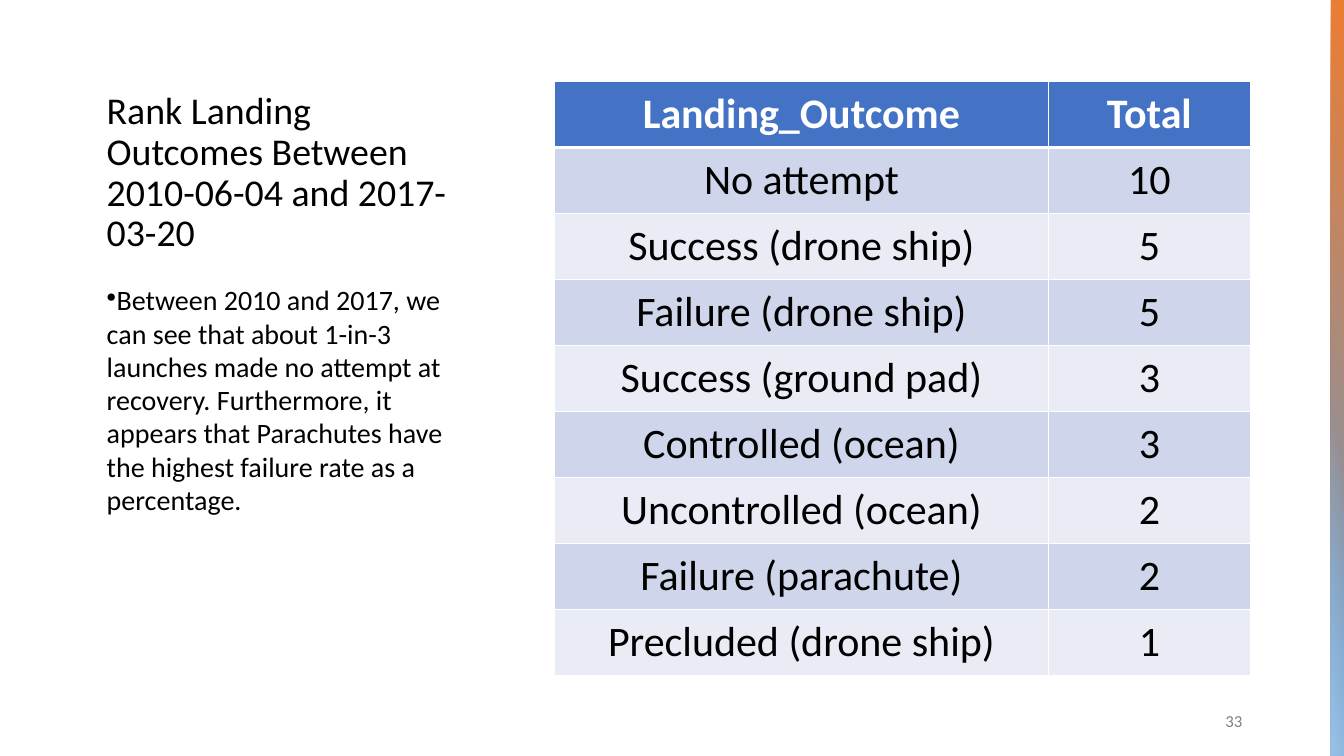
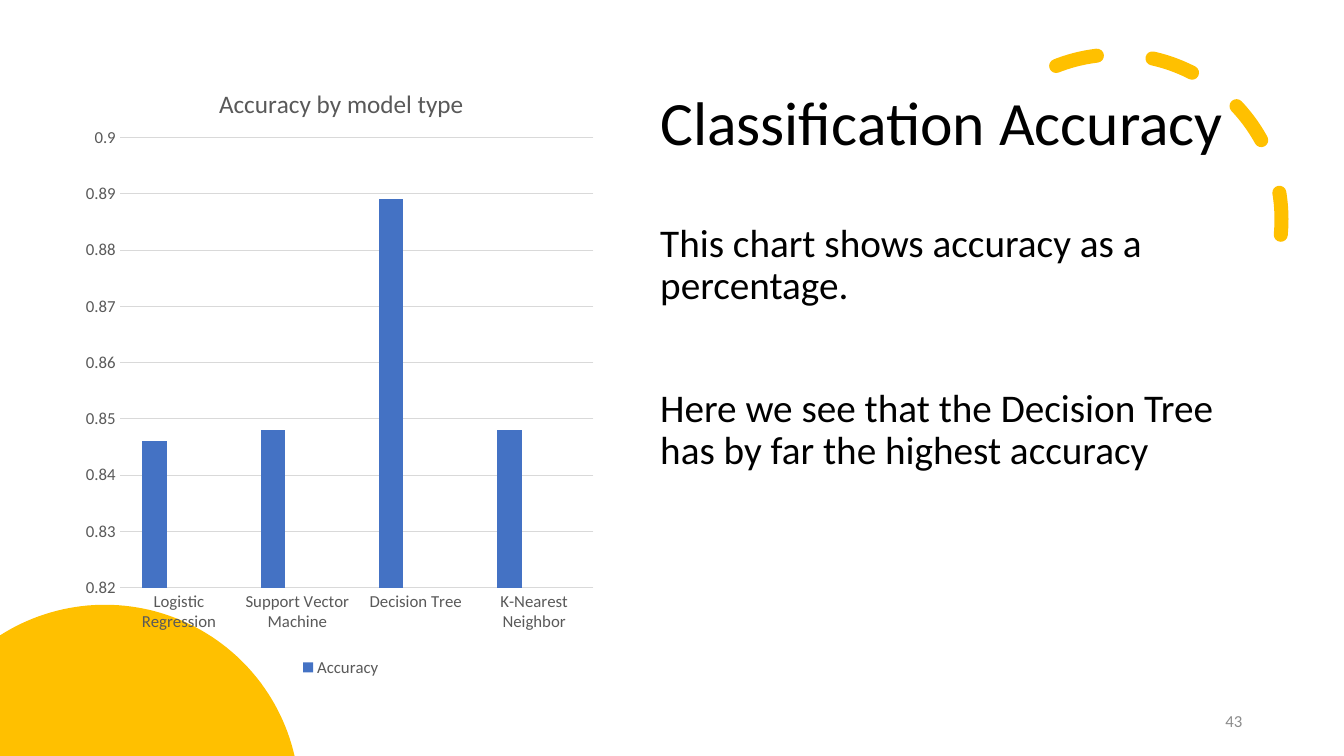
from dataclasses import dataclass
from math import asin, cos, pi, sin, sqrt

from pptx import Presentation
from pptx.chart.data import CategoryChartData
from pptx.dml.color import RGBColor
from pptx.enum.chart import XL_CHART_TYPE as ChartType
from pptx.enum.chart import XL_LEGEND_POSITION as LegendPosition
from pptx.enum.chart import XL_TICK_MARK as TickMark
from pptx.enum.dml import MSO_LINE as LineDash
from pptx.enum.shapes import MSO_SHAPE as ShapeKind
from pptx.enum.text import MSO_ANCHOR as Anchor
from pptx.enum.text import PP_ALIGN as Align
from pptx.oxml import parse_xml
from pptx.oxml.ns import nsdecls, qn
from pptx.util import Inches, Pt


@dataclass(frozen=True)
class Theme:
    font: str = "Calibri"
    black: str = "000000"
    white: str = "FFFFFF"
    blue: str = "4472C4"
    orange: str = "ED7D31"
    gray: str = "A5A5A5"
    gold: str = "FFC000"
    sky: str = "5B9BD5"
    pale_sky: str = "9DC3E6"
    row_fills: tuple = ("CFD5EA", "E9EBF5")
    chart_text: str = "595959"
    grid: str = "D9D9D9"
    number_dark: str = "808080"
    number_light: str = "8C8C8C"
    title_size: int = 44
    side_title_size: int = 27
    table_size: int = 30
    body_size: int = 28
    side_body_size: int = 20
    chart_title_size: int = 18
    small_size: int = 12


THEME = Theme()
SLIDE_WIDTH, SLIDE_HEIGHT = 13.33, 7.5

OUTCOMES = [
    ("Landing_Outcome", "Total"),
    ("No attempt", "10"),
    ("Success (drone ship)", "5"),
    ("Failure (drone ship)", "5"),
    ("Success (ground pad)", "3"),
    ("Controlled (ocean)", "3"),
    ("Uncontrolled (ocean)", "2"),
    ("Failure (parachute)", "2"),
    ("Precluded (drone ship)", "1"),
]
ACCURACY = {
    "Logistic Regression": 0.846,
    "Support Vector Machine": 0.848,
    "Decision Tree": 0.889,
    "K-Nearest Neighbor": 0.848,
}


# Shared helpers
def rgb(color):
    return RGBColor.from_string(color)


def inches(box):
    return [Inches(value) for value in box]


def style_font(font, size, color, bold=False):
    font.name = THEME.font
    font.size = Pt(size)
    font.color.rgb = rgb(color)
    font.bold = bold


def add_text(slide, box, texts, size, color=THEME.black, anchor=Anchor.TOP,
             align=Align.LEFT, line_spacing=0.9, gap=0, bullet=None):
    frame = slide.shapes.add_textbox(*inches(box)).text_frame
    frame.word_wrap = True
    frame.vertical_anchor = anchor
    for index, text in enumerate(texts):
        paragraph = frame.paragraphs[0] if index == 0 else frame.add_paragraph()
        paragraph.text = text
        paragraph.alignment = align
        paragraph.line_spacing = line_spacing
        if index:
            paragraph.space_before = Pt(gap)
        if bullet:
            properties = paragraph._p.get_or_add_pPr()
            properties.append(parse_xml(f'<a:buChar {nsdecls("a")} char="{bullet}"/>'))
        style_font(paragraph.font, size, color)


def add_page_number(slide, number, color):
    add_text(slide, (9.42, 6.95, 3, 0.4), [number], THEME.small_size, color,
             Anchor.MIDDLE, Align.RIGHT, line_spacing=1)


# Gradient edge
def add_gradient_strip(slide, box, stops, angle):
    strip = slide.shapes.add_shape(ShapeKind.RECTANGLE, *inches(box))
    strip.shadow.inherit = False
    strip.line.fill.background()
    stop_xml = "".join(
        f'<a:gs pos="{position * 1000}"><a:srgbClr val="{color}">'
        f'<a:alpha val="{alpha * 1000}"/></a:srgbClr></a:gs>'
        for position, color, alpha in stops)
    strip._element.spPr.find(qn("a:prstGeom")).addnext(parse_xml(
        f'<a:gradFill {nsdecls("a")} rotWithShape="1"><a:gsLst>{stop_xml}</a:gsLst>'
        f'<a:lin ang="{angle * 60000}" scaled="0"/></a:gradFill>'))


def add_gradient_edge(slide, box):
    left, top, width, height = box
    add_gradient_strip(slide, box, [(0, THEME.orange, 100), (100, THEME.sky, 100)], 150)
    lower = 3.64
    add_gradient_strip(slide, (left, top + height - lower, width, lower),
                       [(19, THEME.pale_sky, 0), (100, THEME.pale_sky, 100)], 170)


# Outcome table
def set_borders(cell, bottom):
    properties = cell._tc.get_or_add_tcPr()
    for side, width in (("L", 1), ("R", 1), ("T", 1), ("B", bottom)):
        properties.append(parse_xml(
            f'<a:ln{side} {nsdecls("a")} w="{Pt(width)}"><a:solidFill>'
            f'<a:srgbClr val="{THEME.white}"/></a:solidFill></a:ln{side}>'))


def add_outcome_table(slide, box, rows, column_widths):
    shape = slide.shapes.add_table(len(rows), len(column_widths), *inches(box))
    table = shape.table
    for column, width in zip(table.columns, column_widths):
        column.width = Inches(width)
    for row_index, values in enumerate(rows):
        header = row_index == 0
        fill = THEME.blue if header else THEME.row_fills[(row_index - 1) % 2]
        for column_index, value in enumerate(values):
            cell = table.cell(row_index, column_index)
            cell.text = value
            cell.vertical_anchor = Anchor.MIDDLE
            set_borders(cell, 3 if header else 1)
            cell.fill.solid()
            cell.fill.fore_color.rgb = rgb(fill)
            paragraph = cell.text_frame.paragraphs[0]
            paragraph.alignment = Align.CENTER
            style_font(paragraph.font, THEME.table_size,
                       THEME.white if header else THEME.black, header)


# Gold decoration
def add_dashed_arc(slide, box):
    arc = slide.shapes.add_shape(ShapeKind.ARC, *inches(box))
    arc.shadow.inherit = False
    arc.adjustments[0] = 144.42
    arc.adjustments[1] = 0
    arc.rotation = 66.1
    arc._element.spPr.find(qn("a:xfrm")).set("flipH", "1")
    arc.fill.background()
    arc.line.color.rgb = rgb(THEME.gold)
    arc.line.width = Pt(10)
    arc.line.dash_style = LineDash.DASH
    arc._element.spPr.find(qn("a:ln")).set("cap", "rnd")


def add_corner_disc(slide, center_x, top, radius):
    """Draw the part of a disc that lies inside the bottom left corner."""
    center_y = top + radius
    start = pi + asin(sqrt(radius ** 2 - center_x ** 2) / radius)
    end = 2 * pi - asin((center_y - SLIDE_HEIGHT) / radius)
    steps = 60
    angles = [start + (end - start) * step / steps for step in range(steps + 1)]
    points = [(Inches(center_x + radius * cos(angle)),
               Inches(center_y + radius * sin(angle))) for angle in angles]
    builder = slide.shapes.build_freeform(0, Inches(SLIDE_HEIGHT))
    builder.add_line_segments(points, close=True)
    disc = builder.convert_to_shape()
    disc.shadow.inherit = False
    disc.fill.solid()
    disc.fill.fore_color.rgb = rgb(THEME.gold)
    disc.line.fill.background()


# Accuracy chart
def set_layout(element, index, target="", **fractions):
    for old in element.findall(qn("c:layout")):
        element.remove(old)
    target_xml = f'<c:layoutTarget val="{target}"/>' if target else ""
    modes = "".join(f'<c:{axis}Mode val="edge"/>' for axis in "xy")
    values = "".join(f'<c:{key} val="{value}"/>' for key, value in fractions.items())
    element.insert(index, parse_xml(
        f'<c:layout {nsdecls("c")}><c:manualLayout>{target_xml}{modes}{values}'
        f'</c:manualLayout></c:layout>'))


def add_accuracy_chart(slide, box, accuracy):
    data = CategoryChartData()
    data.categories = list(accuracy)
    data.add_series("Accuracy", list(accuracy.values()))
    for name in ("Series 2", "Series 3"):
        data.add_series(name, [None] * len(accuracy))
    chart = slide.shapes.add_chart(ChartType.COLUMN_CLUSTERED, *inches(box), data).chart
    style_font(chart.font, THEME.small_size, THEME.chart_text)

    plot = chart.plots[0]
    plot.gap_width = 182
    plot.overlap = 0
    plot.vary_by_categories = False
    for series, color in zip(plot.series, (THEME.blue, THEME.orange, THEME.gray)):
        series.format.fill.solid()
        series.format.fill.fore_color.rgb = rgb(color)

    # Title and plot area
    chart.has_title = True
    title = chart.chart_title
    title.text_frame.text = "Accuracy by model type"
    style_font(title.text_frame.paragraphs[0].font, THEME.chart_title_size, THEME.chart_text)
    set_layout(title._element, 1, x=0.26, y=0.04)
    set_layout(chart._chartSpace.chart.plotArea, 0, "inner", x=0.08, y=0.13, w=0.9, h=0.72)

    # Axes
    value_axis, category_axis = chart.value_axis, chart.category_axis
    for axis in (value_axis, category_axis):
        axis.major_tick_mark = axis.minor_tick_mark = TickMark.NONE
        style_font(axis.tick_labels.font, THEME.small_size, THEME.chart_text)
    value_axis.minimum_scale, value_axis.maximum_scale = 0.82, 0.9
    value_axis.major_unit = 0.01
    value_axis.format.line.fill.background()
    for line in (value_axis.major_gridlines.format.line, category_axis.format.line):
        line.color.rgb = rgb(THEME.grid)
        line.width = Pt(0.75)

    # Legend shows the first series only
    chart.has_legend = True
    legend = chart.legend
    legend.position = LegendPosition.BOTTOM
    legend.include_in_layout = False
    style_font(legend.font, THEME.small_size, THEME.chart_text)
    for index in (1, 2):
        legend._element.insert(index, parse_xml(
            f'<c:legendEntry {nsdecls("c")}><c:idx val="{index}"/>'
            f'<c:delete val="1"/></c:legendEntry>'))


# Slides
def build_outcome_slide(slide):
    left, width = 0.96, 3.78
    add_text(slide, (left, 0.81, width, 1.77),
             ["Rank Landing Outcomes Between 2010-06-04 and 2017-03-20"],
             THEME.side_title_size, anchor=Anchor.BOTTOM)
    add_text(slide, (left, 2.77, width, 3.77),
             ["Between 2010 and 2017, we can see that about 1-in-3 launches made no "
              "attempt at recovery. Furthermore, it appears that Parachutes have the "
              "highest failure rate as a percentage."],
             THEME.side_body_size, line_spacing=0.99, bullet="•")
    add_page_number(slide, "33", THEME.number_dark)
    add_gradient_edge(slide, (SLIDE_WIDTH - 0.13, 0, 0.13, SLIDE_HEIGHT))
    add_outcome_table(slide, (5.5, 0.81, 6.9, 5.89), OUTCOMES, (4.9, 2))


def build_accuracy_slide(slide):
    left, width = 6.45, 5.97
    add_dashed_arc(slide, (9.44, 0.54, 3.27, 3.27))
    add_text(slide, (left, 0.52, width, 1.45), ["Classification Accuracy"],
             THEME.title_size, anchor=Anchor.MIDDLE)
    add_corner_disc(slide, center_x=1.04, top=6, radius=1.93)
    add_text(slide, (left, 2.17, width, 4.58),
             ["This chart shows accuracy as a percentage.",
              "Here we see that the Decision Tree has by far the highest accuracy"],
             THEME.body_size, gap=57)
    add_page_number(slide, "43", THEME.number_light)
    add_accuracy_chart(slide, (0.77, 0.56, 5.22, 6.2), ACCURACY)


def main():
    presentation = Presentation()
    presentation.slide_width = Inches(SLIDE_WIDTH)
    presentation.slide_height = Inches(SLIDE_HEIGHT)
    for build in (build_outcome_slide, build_accuracy_slide):
        build(presentation.slides.add_slide(presentation.slide_layouts[6]))
    presentation.save("out.pptx")


if __name__ == "__main__":
    main()
